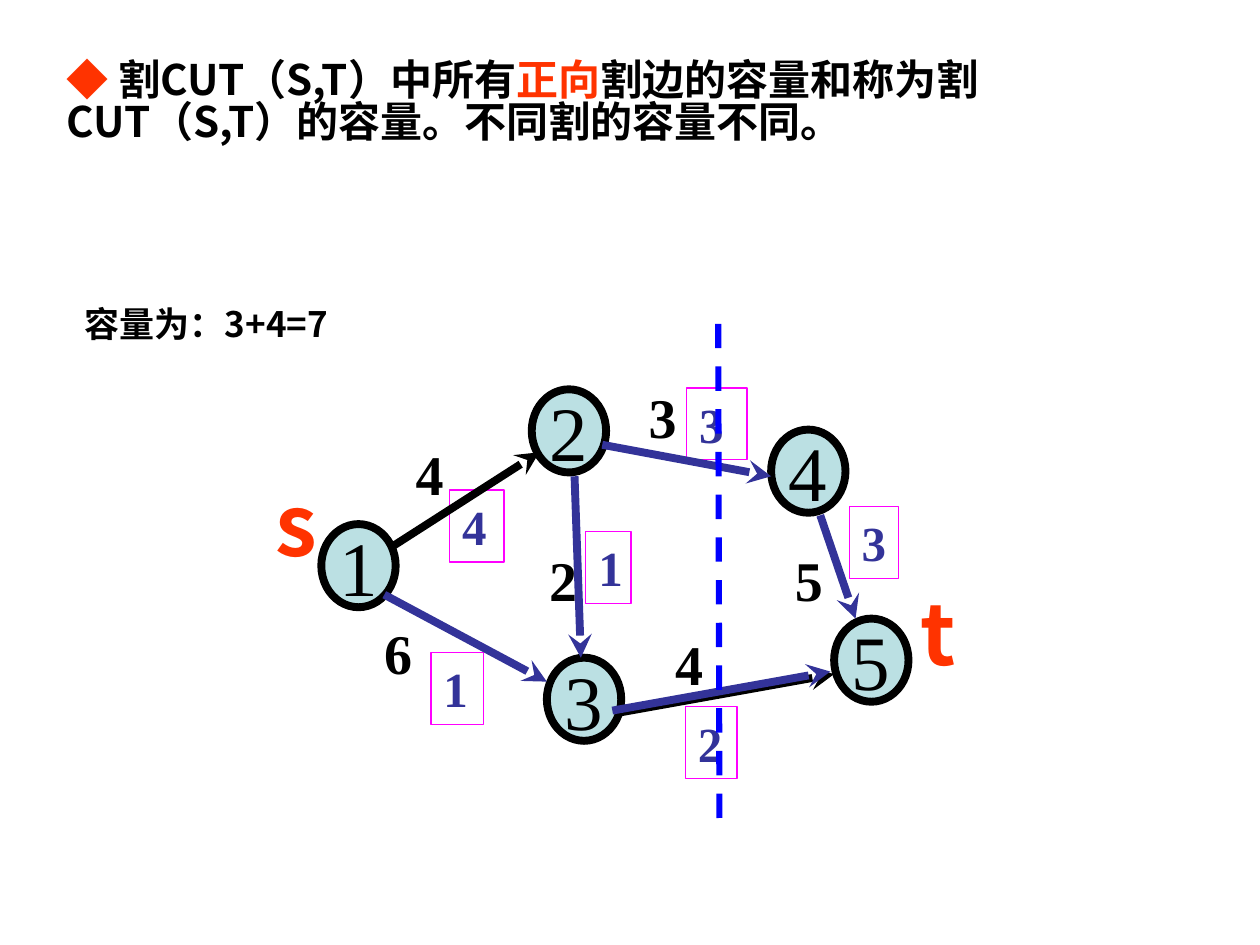
from lxml import etree
from pptx import Presentation
from pptx.dml.color import RGBColor
from pptx.enum import dml, shapes, text
from pptx.oxml import ns
from pptx.util import Inches, Pt

COLORS = {
    "ink": "000000",
    "accent": "FF3300",
    "flow": "333399",
    "box": "FF00FF",
    "node": "BBE0E3",
    "cut": "0000FF",
}
SANS = "Noto Sans CJK SC"
SERIF = "Times New Roman"

TITLE = [
    ("◆ ", "accent"),
    ("割CUT（S,T）中所有", "ink"),
    ("正向", "accent"),
    ("割边的容量和称为割CUT（S,T）的容量。不同割的容量不同。", "ink"),
]
NODES = [("1", 2.55, 4.16), ("2", 4.22, 3.09), ("4", 6.12, 3.41),
         ("3", 4.34, 5.22), ("5", 6.62, 4.91)]
EDGES = [
    (4.89, 5.66, 6.62, 5.35, "ink"),
    (3.11, 4.34, 4.28, 3.59, "ink"),
    (3.05, 4.72, 4.34, 5.41, "flow"),
    (4.78, 3.53, 6.12, 3.78, "flow"),
    (6.51, 4.09, 6.79, 4.91, "flow"),
    (4.56, 3.78, 4.61, 5.22, "flow"),
    (4.86, 5.64, 6.59, 5.33, "flow"),
]
CAPACITIES = [("6", 2.95, 4.86), ("4", 3.2, 3.44), ("3", 5.05, 2.99),
              ("4", 5.26, 4.95), ("5", 6.21, 4.28), ("2", 4.26, 4.28)]
FLOWS = [("4", 3.57, 3.89, 0.43), ("1", 4.65, 4.22, 0.36), ("2", 5.44, 5.61, 0.41),
         ("3", 5.45, 3.08, 0.48), ("3", 6.74, 4.02, 0.39), ("1", 3.42, 5.18, 0.42)]
TERMINALS = [("s", 2.09, 3.84), ("t", 7.21, 4.7)]


def rgb(name):
    return RGBColor.from_string(COLORS[name])


def box(left, top, width, height):
    return [Inches(length) for length in (left, top, width, height)]


def set_east_asian(properties, face):
    east_asian = etree.SubElement(properties, ns.qn("a:ea"))
    east_asian.set("typeface", face)


def style(paragraph, face, size, color=None, bold=True):
    font = paragraph.font
    font.name, font.size, font.bold = face, Pt(size), bold
    if color:
        font.color.rgb = rgb(color)
    for run in paragraph.runs:
        set_east_asian(run._r.get_or_add_rPr(), face)


def fit_frame(frame):
    frame.word_wrap = True
    frame.vertical_anchor = text.MSO_ANCHOR.TOP
    frame.auto_size = text.MSO_AUTO_SIZE.SHAPE_TO_FIT_TEXT


def add_title(slide):
    title = slide.shapes.title
    title.left, title.top, title.width, title.height = box(0.43, 0.44, 7.88, 0.9)
    fit_frame(title.text_frame)
    paragraph = title.text_frame.paragraphs[0]
    paragraph.alignment = text.PP_ALIGN.LEFT
    paragraph.line_spacing = 0.83
    for words, color in TITLE:
        run = paragraph.add_run()
        run.text = words
        run.font.color.rgb = rgb(color)
    style(paragraph, SANS, 24)


def add_label(slide, words, place, face, size, color):
    label = slide.shapes.add_textbox(*box(*place))
    fit_frame(label.text_frame)
    paragraph = label.text_frame.paragraphs[0]
    paragraph.text = words
    if face == SANS:
        paragraph.line_spacing = 0.83
    style(paragraph, face, size, color)
    return label


def add_flow(slide, amount, left, top, width):
    flow = add_label(slide, amount, (left, top, width, 0.57), SERIF, 28, "flow")
    flow.line.color.rgb = rgb("box")
    flow.line.width = Pt(0.75)


def add_node(slide, number, left, top):
    node = slide.shapes.add_shape(shapes.MSO_SHAPE.OVAL, *box(left, top, 0.59, 0.66))
    node.shadow.inherit = False
    node.fill.solid()
    node.fill.fore_color.rgb = rgb("node")
    node.line.color.rgb = rgb("ink")
    node.line.width = Pt(4.5)
    frame = node.text_frame
    frame.word_wrap = False
    frame.vertical_anchor = text.MSO_ANCHOR.MIDDLE
    paragraph = frame.paragraphs[0]
    paragraph.text = number
    paragraph.alignment = text.PP_ALIGN.CENTER
    style(paragraph, SERIF, 44, "ink", bold=False)


def add_line(slide, x1, y1, x2, y2, color, width):
    line = slide.shapes.add_connector(shapes.MSO_CONNECTOR.STRAIGHT, *box(x1, y1, x2, y2))
    line.line.color.rgb = rgb(color)
    line.line.width = Pt(width)
    etree.SubElement(line._element.spPr, ns.qn("a:effectLst"))
    return line


def add_edge(slide, x1, y1, x2, y2, color):
    edge = add_line(slide, x1, y1, x2, y2, color, 4.5)
    arrowhead = etree.SubElement(edge.line._get_or_add_ln(), ns.qn("a:tailEnd"))
    arrowhead.set("type", "stealth")


def main():
    deck = Presentation()
    deck.slide_width, deck.slide_height = Inches(10), Inches(7.5)
    slide = deck.slides.add_slide(deck.slide_layouts[5])
    add_title(slide)
    for amount, left, top in CAPACITIES:
        add_label(slide, amount, (left, top, 0.33, 0.64), SERIF, 32, "ink")
    for flow in FLOWS:
        add_flow(slide, *flow)
    shadow_edge, *edges = EDGES
    add_edge(slide, *shadow_edge)
    for node in NODES:
        add_node(slide, *node)
    for edge in edges:
        add_edge(slide, *edge)
    for name, left, top in TERMINALS:
        add_label(slide, name, (left, top, 0.47, 0.9), SANS, 48, "accent")
    cut = add_line(slide, 5.7, 2.57, 5.71, 6.51, "cut", 3.5)
    cut.line.dash_style = dml.MSO_LINE.DASH
    add_label(slide, " 容量为：3+4=7", (0.51, 2.41, 2.84, 0.44), SANS, 20, "ink")
    deck.save("out.pptx")


if __name__ == "__main__":
    main()
